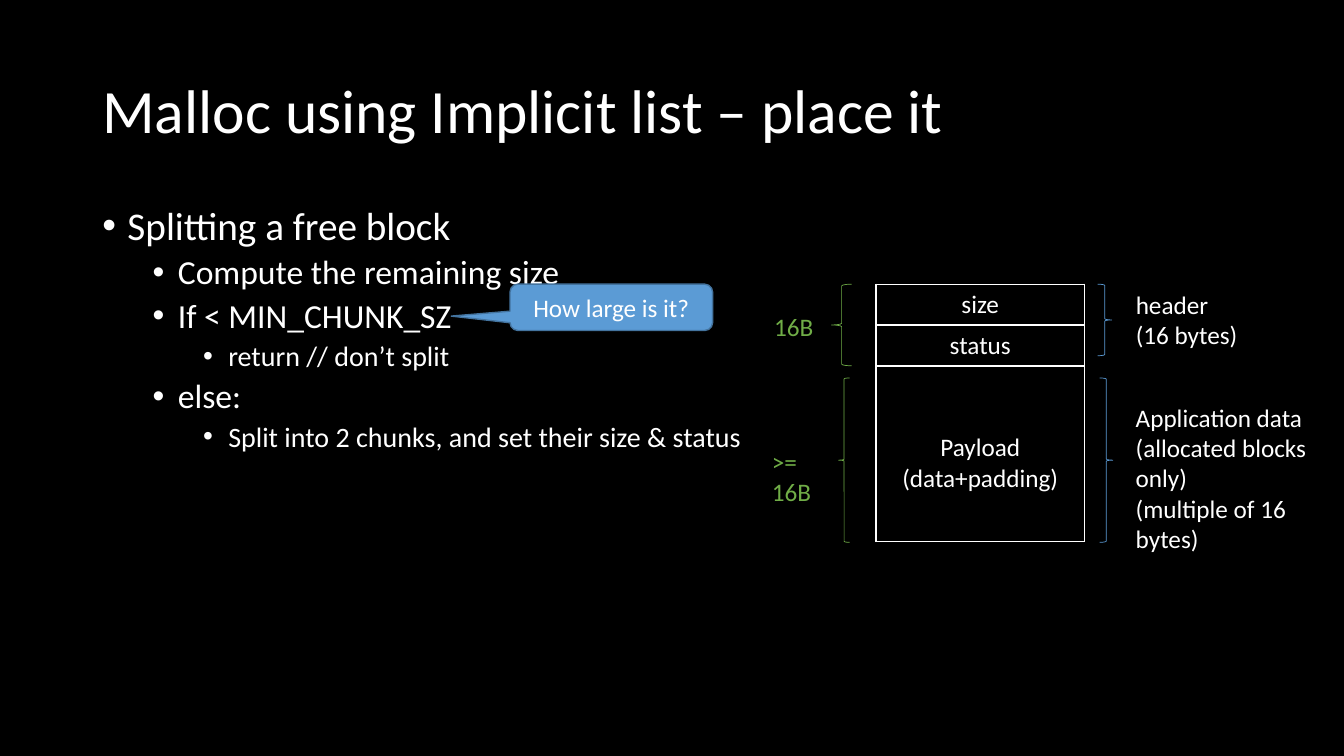
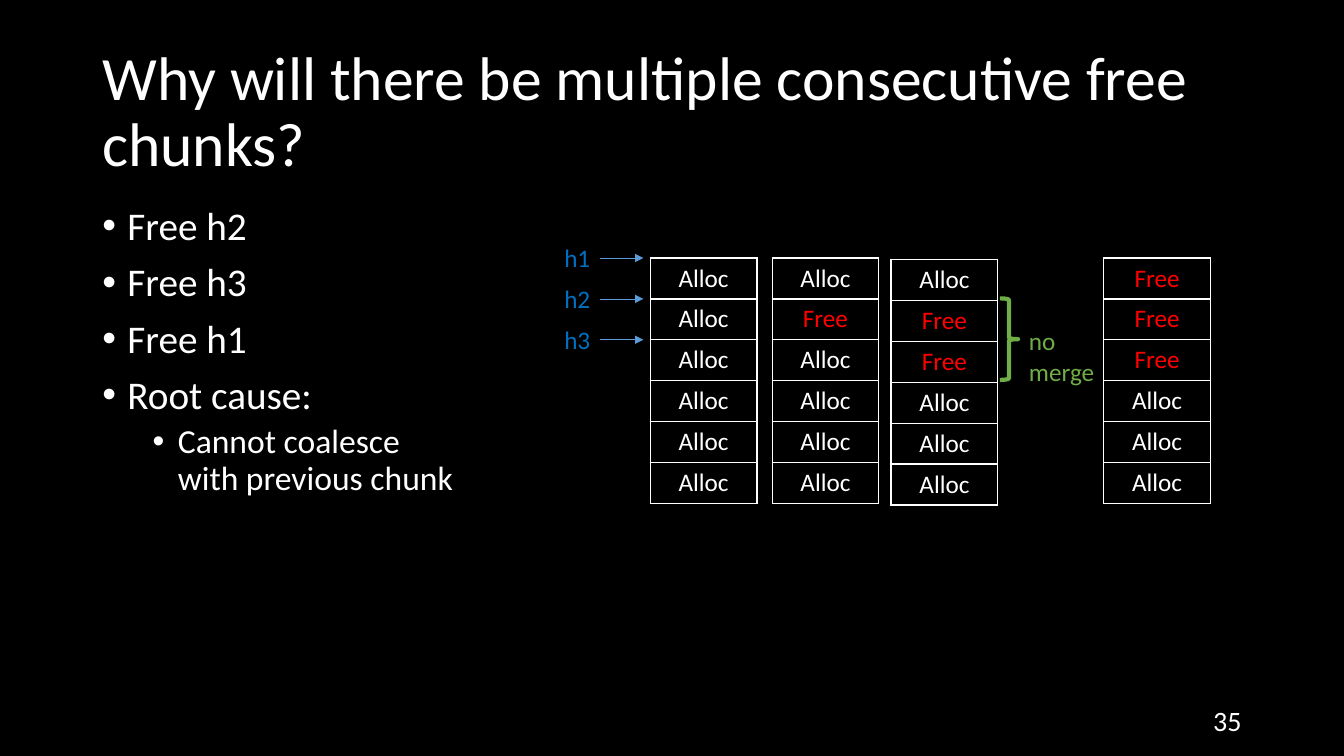
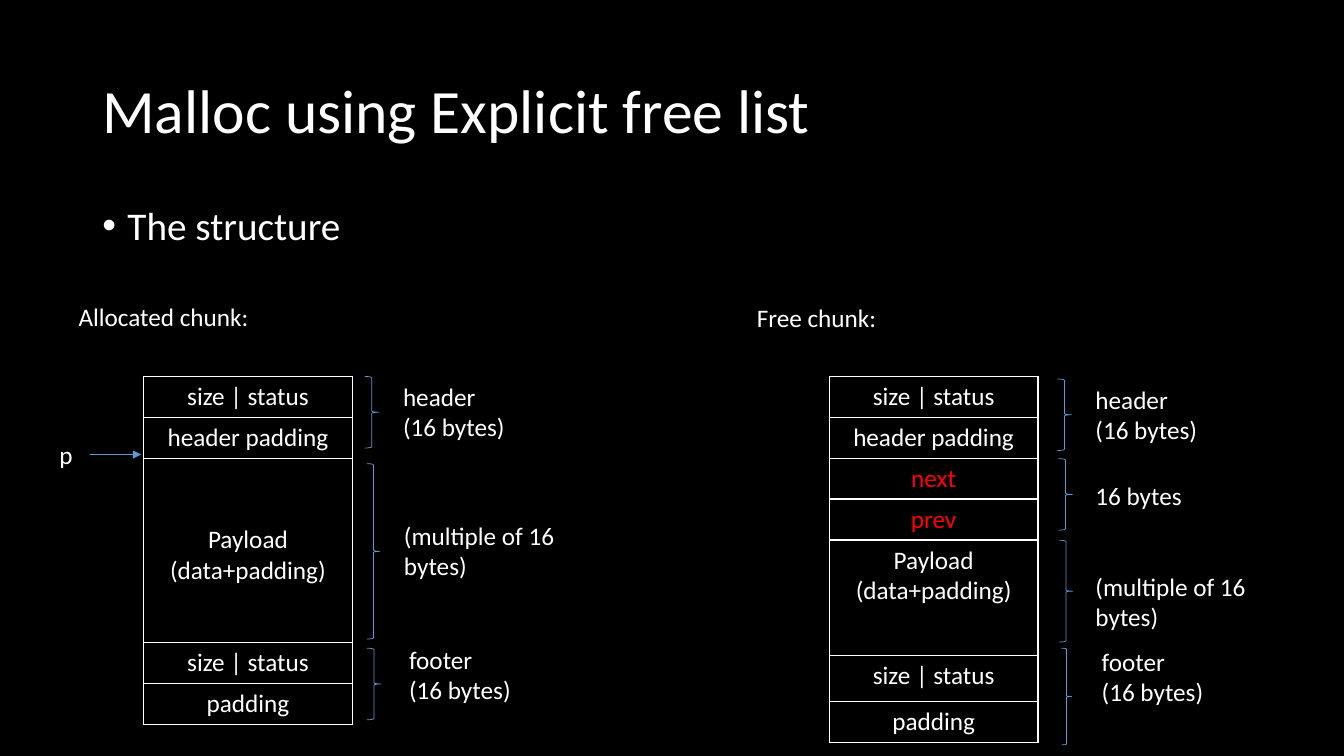
"""Build three slides on malloc chunk layout and free lists."""

import dataclasses
import itertools
import typing

import lxml.etree
import pptx
import pptx.dml.color
import pptx.enum.shapes
import pptx.enum.text
import pptx.oxml.ns
import pptx.util

Pt = pptx.util.Pt
Align = pptx.enum.text.PP_ALIGN
Anchor = pptx.enum.text.MSO_ANCHOR
Preset = pptx.enum.shapes.MSO_SHAPE

COLOURS = {
    "black": "000000",
    "white": "FFFFFF",
    "blue": "5B9BD5",
    "edge": "43739E",
    "green": "70AD47",
    "red": "FF0000",
    "handle": "0070C0",
}
FONT = "Calibri"
TEXT_SIZE = 18
BULLET_SIZES = (28, 24, 20)
ROW = 29.2
LINE = 22
CELL_MARGIN = 3.6
CHUNK_WIDTH = 149
HEAP_WIDTH = 76.3
HEADER_TEXT = "header\n(16 bytes)"
FOOTER_TEXT = "footer\n(16 bytes)"
MULTIPLE_TEXT = "(multiple of 16 bytes)"
PAYLOAD_TEXT = "Payload\n(data+padding)"


@dataclasses.dataclass(frozen=True)
class Bullet:
    """A body line and its outline level."""

    text: str
    level: int = 0


@dataclasses.dataclass(frozen=True)
class Label:
    """A free-standing piece of text."""

    text: str
    left: float
    top: float
    width: float
    height: float = 51.1
    colour: str = "white"
    size: float = TEXT_SIZE
    wrap: bool = True
    align: typing.Any = Align.LEFT
    anchor: typing.Any = Anchor.TOP
    spacing: float = 1.0


@dataclasses.dataclass(frozen=True)
class Brace:
    """A curly brace that marks a span of memory."""

    left: float
    top: float
    width: float
    height: float
    colour: str = "blue"
    weight: float = 0.5
    preset: typing.Any = Preset.RIGHT_BRACE


@dataclasses.dataclass(frozen=True)
class Field:
    """One row of a memory column."""

    text: str
    height: float = ROW
    colour: str = "white"
    blank_lines: int = 0


@dataclasses.dataclass(frozen=True)
class Column:
    """A memory column made of stacked fields."""

    left: float
    top: float
    width: float
    fields: typing.Sequence[Field]


@dataclasses.dataclass(frozen=True)
class Pointer:
    """A horizontal arrow that points into a memory column."""

    start: float
    end: float
    y: float


def rgb(name: str) -> pptx.dml.color.RGBColor:
    """Return the named colour."""
    return pptx.dml.color.RGBColor.from_string(COLOURS[name])


def add_element(parent: typing.Any, tag: str, **attributes: str) -> typing.Any:
    """Append a drawing element to its parent."""
    return lxml.etree.SubElement(parent, pptx.oxml.ns.qn(tag), attributes)


def format_runs(paragraph: typing.Any, size: float, colour: str) -> None:
    """Give all runs of a paragraph the deck font."""
    for run in paragraph.runs:
        run.font.name = FONT
        run.font.size = Pt(size)
        run.font.color.rgb = rgb(colour)


def draw_label(slide: typing.Any, label: Label) -> None:
    """Draw a text box."""
    box = slide.shapes.add_textbox(
        Pt(label.left), Pt(label.top), Pt(label.width), Pt(label.height)
    )
    frame = box.text_frame
    frame.word_wrap = label.wrap
    frame.vertical_anchor = label.anchor
    frame.text = label.text
    for paragraph in frame.paragraphs:
        paragraph.alignment = label.align
        paragraph.line_spacing = label.spacing
        format_runs(paragraph, label.size, label.colour)


def draw_bullets(slide: typing.Any, bullets: typing.Sequence[Bullet]) -> None:
    """Draw the bulleted body."""
    body = slide.shapes.add_textbox(Pt(66), Pt(144), Pt(828), Pt(342.6))
    frame = body.text_frame
    frame.word_wrap = True
    for index, bullet in enumerate(bullets):
        paragraph = frame.add_paragraph() if index else frame.paragraphs[0]
        paragraph.text = bullet.text
        paragraph.level = bullet.level
        paragraph.line_spacing = 0.9
        if index:
            paragraph.space_before = Pt(5 if bullet.level else 10)
        properties = paragraph._p.get_or_add_pPr()
        properties.set("marL", str(Pt(18 + 36 * bullet.level)))
        properties.set("indent", str(Pt(-18)))
        add_element(properties, "a:buFont", typeface="Arial")
        add_element(properties, "a:buChar", char="•")
        format_runs(paragraph, BULLET_SIZES[bullet.level], "white")


def draw_brace(slide: typing.Any, brace: Brace) -> None:
    """Draw a curly brace."""
    outline = slide.shapes.add_shape(
        brace.preset, Pt(brace.left), Pt(brace.top), Pt(brace.width), Pt(brace.height)
    )
    outline.shadow.inherit = False
    outline.fill.background()
    outline.line.color.rgb = rgb(brace.colour)
    outline.line.width = Pt(brace.weight)


def draw_column(slide: typing.Any, column: Column) -> None:
    """Draw a memory column as a one-column table."""
    total = sum(field.height for field in column.fields)
    table = slide.shapes.add_table(
        len(column.fields), 1, Pt(column.left), Pt(column.top), Pt(column.width), Pt(total)
    ).table
    table.first_row = False
    table.horz_banding = False
    for row, field in zip(table.rows, column.fields):
        row.height = Pt(field.height)
        cell = row.cells[0]
        cell.margin_top = Pt(CELL_MARGIN + LINE * field.blank_lines)
        cell.margin_bottom = Pt(CELL_MARGIN)
        properties = cell._tc.get_or_add_tcPr()
        for side in ("a:lnL", "a:lnR", "a:lnT", "a:lnB"):
            border = add_element(properties, side, w=str(Pt(1)))
            add_element(add_element(border, "a:solidFill"), "a:srgbClr", val=COLOURS["white"])
        cell.fill.solid()
        cell.fill.fore_color.rgb = rgb("black")
        cell.text_frame.text = field.text
        for paragraph in cell.text_frame.paragraphs:
            paragraph.alignment = Align.CENTER
            format_runs(paragraph, TEXT_SIZE, field.colour)


def draw_pointer(slide: typing.Any, pointer: Pointer) -> None:
    """Draw an arrow."""
    arrow = slide.shapes.add_connector(
        pptx.enum.shapes.MSO_CONNECTOR.STRAIGHT,
        Pt(pointer.start), Pt(pointer.y), Pt(pointer.end), Pt(pointer.y),
    )
    arrow.line.color.rgb = rgb("blue")
    arrow.line.width = Pt(0.5)
    add_element(arrow.line._get_or_add_ln(), "a:tailEnd", type="triangle")
    add_element(arrow._element.spPr, "a:effectLst")


def draw_question(slide: typing.Any) -> None:
    """Draw the callout that asks for the minimum chunk size."""
    callout = slide.shapes.add_shape(
        Preset.ROUNDED_RECTANGULAR_CALLOUT, Pt(364.3), Pt(203), Pt(144.7), Pt(33.1)
    )
    for index, value in enumerate((-0.79, 0.19, 0.17)):
        callout.adjustments[index] = value
    callout.shadow.inherit = False
    callout.fill.solid()
    callout.fill.fore_color.rgb = rgb("blue")
    callout.line.color.rgb = rgb("edge")
    callout.line.width = Pt(1)
    frame = callout.text_frame
    frame.vertical_anchor = Anchor.MIDDLE
    frame.text = "How large is it?"
    frame.paragraphs[0].alignment = Align.CENTER
    format_runs(frame.paragraphs[0], TEXT_SIZE, "white")


PAINTERS: typing.Dict[type, typing.Callable[[typing.Any, typing.Any], None]] = {
    Label: draw_label,
    Brace: draw_brace,
    Column: draw_column,
    Pointer: draw_pointer,
}


def draw_parts(slide: typing.Any, parts: typing.Iterable[typing.Any]) -> None:
    """Draw each part with the function for its kind."""
    for part in parts:
        PAINTERS[type(part)](slide, part)


def start_slide(deck: typing.Any, title: str, bullets: typing.Sequence[Bullet]) -> typing.Any:
    """Add a black slide with its title and body."""
    slide = deck.slides.add_slide(deck.slide_layouts[6])
    slide.background.fill.solid()
    slide.background.fill.fore_color.rgb = rgb("black")
    draw_label(
        slide,
        Label(title, 66, 28.8, 828, 104.4, size=44, anchor=Anchor.MIDDLE, spacing=0.9),
    )
    draw_bullets(slide, bullets)
    return slide


def build_place_slide(deck: typing.Any) -> None:
    """Build the slide on splitting a free block."""
    slide = start_slide(deck, "Malloc using Implicit list – place it", [
        Bullet("Splitting a free block"),
        Bullet("Compute the remaining size", 1),
        Bullet("If < MIN_CHUNK_SZ", 1),
        Bullet("return // don’t split", 2),
        Bullet("else:", 1),
        Bullet("Split into 2 chunks, and set their size & status", 2),
    ])
    draw_question(slide)
    draw_parts(slide, [
        Column(625.7, 203, CHUNK_WIDTH, [
            Field("size"), Field("status"), Field(PAYLOAD_TEXT, 125.6, blank_lines=2),
        ]),
        Brace(784.1, 203, 10.1, 51.1),
        Label(HEADER_TEXT, 804.2, 203, 92.9),
        Brace(785.5, 270, 9.4, 117.4),
        Label("Application data\n(allocated blocks only)\n" + MULTIPLE_TEXT,
              804.2, 283.7, 155.5, 116.6),
        Brace(599, 270, 7.9, 117.4, "green", preset=Preset.LEFT_BRACE),
        Label(">=\n16B", 544.3, 315.4, 50.4, colour="green"),
        Brace(594, 203, 14.4, 58.3, "green", preset=Preset.LEFT_BRACE),
        Label("16B", 545.8, 218.9, 50.4, 28.8, "green"),
    ])


def build_coalesce_slide(deck: typing.Any) -> None:
    """Build the slide on consecutive free chunks."""
    slide = start_slide(deck, "Why will there be multiple consecutive free chunks?", [
        Bullet("Free h2"),
        Bullet("Free h3"),
        Bullet("Free h1"),
        Bullet("Root cause:"),
        Bullet("Cannot coalesce\nwith previous chunk", 1),
    ])
    heap_top = 184.3
    heaps = [
        (464.4, heap_top, ()),
        (551.5, heap_top, (1,)),
        (636.5, 185.5, (1, 2)),
        (788.4, heap_top, (0, 1, 2)),
    ]
    for left, top, freed in heaps:
        chunks = [
            Field("Free", colour="red") if index in freed else Field("Alloc")
            for index in range(6)
        ]
        draw_column(slide, Column(left, top, HEAP_WIDTH, chunks))
    for index, handle in enumerate(("h1", "h2", "h3")):
        y = heap_top + ROW * index
        draw_label(slide, Label(handle, 396, y - 14.4, 33.1, 28.8, "handle", wrap=False))
        draw_pointer(slide, Pointer(428.7, 459.6, y))
    draw_parts(slide, [
        Brace(714.2, 213.1, 13, 58.3, "green", 3),
        Label("no merge", 727.9, 229, 73.4, colour="green"),
        Label("35", 678, 500.4, 216, 28.8, size=20, align=Align.RIGHT, anchor=Anchor.MIDDLE),
    ])


def build_explicit_slide(deck: typing.Any) -> None:
    """Build the slide on allocated and free chunk structure."""
    slide = start_slide(deck, "Malloc using Explicit free list", [Bullet("The structure")])
    header = [Field("size | status"), Field("header padding")]
    footer = [Field("size | status"), Field("padding")]
    links = [Field("next", colour="red"), Field("prev", colour="red")]
    allocated = [
        Label("Allocated chunk:", 49, 211.7, 137.5, 28.8, wrap=False),
        Label("p", 35.3, 310.3, 26.6, 28.8),
        Pointer(64.1, 100.8, 324.7),
        Column(102.6, 268.9, CHUNK_WIDTH,
               [*header, Field(PAYLOAD_TEXT, 131.8, blank_lines=2), *footer]),
        Brace(260.6, 268.9, 10.1, 51.1),
        Label(HEADER_TEXT, 280.8, 268.9, 92.9),
        Brace(262.1, 331.2, 9.4, 125.3),
        Label(MULTIPLE_TEXT, 281.5, 367.9, 165.6),
        Brace(262.1, 463, 10.1, 51.1),
        Label(FOOTER_TEXT, 285.1, 456.5, 92.9),
    ]
    free = [
        Label("Free chunk:", 533.5, 212.4, 100.8, 28.8, wrap=False),
        Column(592.4, 268.9, CHUNK_WIDTH,
               [*header, *links, Field(PAYLOAD_TEXT, 82.8),
                Field("size | status", 32.4), Field("padding")]),
        Brace(755.3, 270.7, 10.1, 51.1),
        Label(HEADER_TEXT, 775.4, 270.7, 92.9),
        Brace(756, 327.6, 10.1, 51.1),
        Label("16 bytes", 775.4, 339.8, 77, 28.8, wrap=False),
        Brace(756.7, 385.9, 9.4, 72.7),
        Label(MULTIPLE_TEXT, 775.4, 404.6, 165.6),
        Brace(758.2, 463, 7.2, 69.1),
        Label(FOOTER_TEXT, 779.8, 457.9, 92.9),
    ]
    draw_parts(slide, itertools.chain(allocated, free))


def main() -> None:
    """Build and save the deck."""
    deck = pptx.Presentation()
    deck.slide_width = Pt(960)
    deck.slide_height = Pt(540)
    build_place_slide(deck)
    build_coalesce_slide(deck)
    build_explicit_slide(deck)
    deck.save("out.pptx")


if __name__ == "__main__":
    main()
